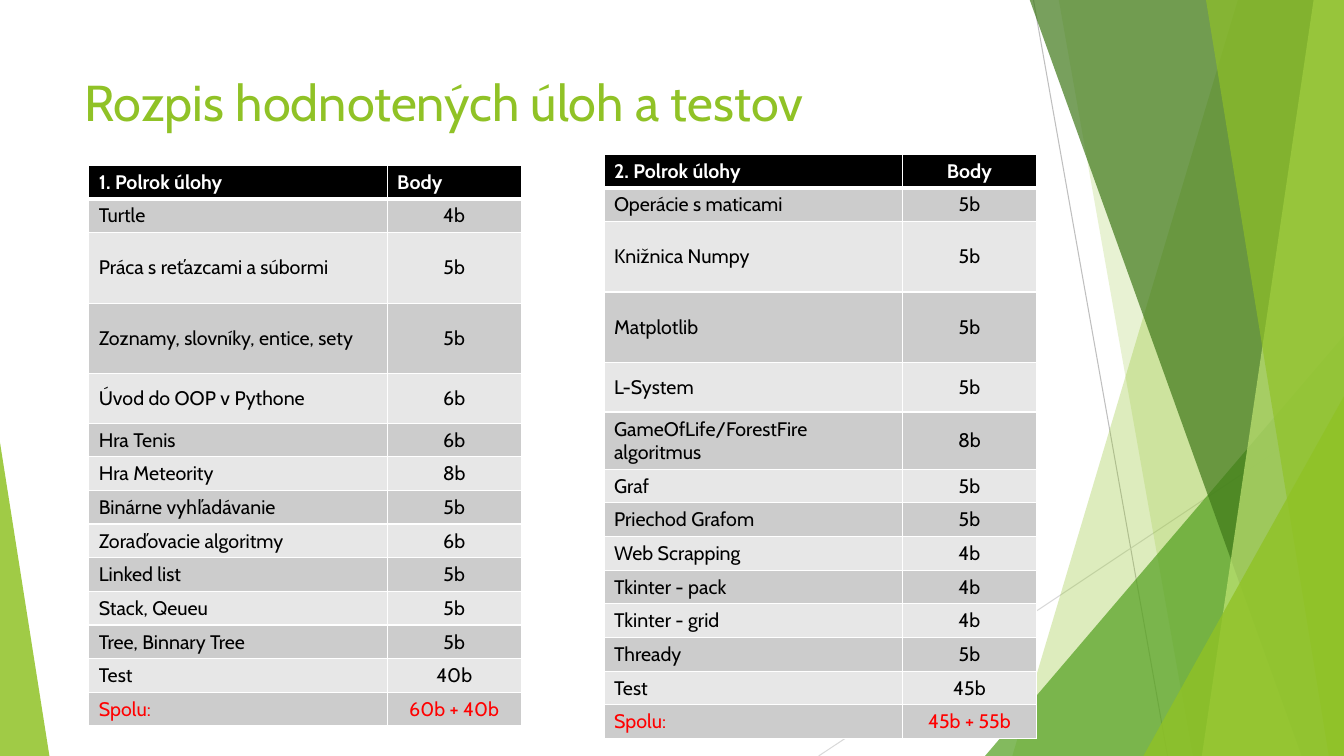
from lxml.etree import SubElement
from pptx import Presentation
from pptx.dml.color import RGBColor
from pptx.enum.shapes import MSO_CONNECTOR, MSO_SHAPE
from pptx.enum.text import MSO_ANCHOR, PP_ALIGN
from pptx.oxml.ns import qn
from pptx.util import Inches, Pt

# Content
TITLE = "Rozpis hodnotených úloh a testov"
TERM1 = [
    ("1. Polrok úlohy", "Body"),
    ("Turtle", "4b"),
    ("Práca s reťazcami a súbormi", "5b"),
    ("Zoznamy, slovníky, entice, sety", "5b"),
    ("Úvod do OOP v Pythone", "6b"),
    ("Hra Tenis", "6b"),
    ("Hra Meteority", "8b"),
    ("Binárne vyhľadávanie", "5b"),
    ("Zoraďovacie algoritmy", "6b"),
    ("Linked list", "5b"),
    ("Stack, Qeueu", "5b"),
    ("Tree, Binnary Tree", "5b"),
    ("Test", "40b"),
    ("Spolu:", "60b + 40b"),
]
TERM2 = [
    ("2. Polrok úlohy", "Body"),
    ("Operácie s maticami", "5b"),
    ("Knižnica Numpy", "5b"),
    ("Matplotlib", "5b"),
    ("L-System", "5b"),
    ("GameOfLife/ForestFire algoritmus", "8b"),
    ("Graf", "5b"),
    ("Priechod Grafom", "5b"),
    ("Web Scrapping", "4b"),
    ("Tkinter - pack", "4b"),
    ("Tkinter - grid", "4b"),
    ("Thready", "5b"),
    ("Test", "45b"),
    ("Spolu:", "45b + 55b"),
]
# Left, top, rows, alignment of the points heading
TABLES = [
    (0.88, 1.64, TERM1, PP_ALIGN.LEFT),
    (5.99, 1.53, TERM2, PP_ALIGN.CENTER),
]
COLS = (2.96, 1.33)
ROWS = [0.27, 0.28, 0.7, 0.7, 0.49] + [0.28] * 9

# Colours
FONT = "Cabin"
WHITE = RGBColor(0xFF, 0xFF, 0xFF)
BLACK = RGBColor(0, 0, 0)
RED = RGBColor(0xFF, 0, 0)
BANDS = (RGBColor(0xE7, 0xE7, 0xE7), RGBColor(0xCC, 0xCC, 0xCC))
LIME = RGBColor(0x90, 0xC2, 0x26)
GREEN = RGBColor(0x54, 0xA0, 0x21)
DARK = RGBColor(0x3F, 0x78, 0x19)
PALE = RGBColor(0xC0, 0xE4, 0x74)
GREY = RGBColor(0xBF, 0xBF, 0xBF)
SILVER = RGBColor(0xD9, 0xD9, 0xD9)

# Decoration, back to front
WIDE, HIGH, TOP = 13.33, 7.5, -0.01
LINES = [(10.25, 0, 11.58, HIGH, GREY), (WIDE, 4.03, 8.12, HIGH, SILVER)]
# Bands to the right edge: top x, bottom x. Triangles: left, top, width, apex
SHARDS = [
    ("band", (12.28, 10.04), LIME, 30),
    ("band", (10.5, 11.83), LIME, 20),
    ("tri", (9.77, 3.33, 3.56, 1), GREEN, 72),
    ("band", (10.21, 12.91), DARK, 70),
    ("band", (13.03, 11.92), PALE, 70),
    ("band", (11.96, 13.18), LIME, 65),
    ("tri", (11.34, 3.93, 1.99, 1), LIME, 80),
    ("tri", (0, 4.39, 0.49, 0), LIME, 85),
]

prs = Presentation()
prs.slide_width, prs.slide_height = Inches(WIDE), Inches(HIGH)
slide = prs.slides.add_slide(prs.slide_layouts[6])
shapes = slide.shapes


def style(para, color, size, bold=False):
    for run in para.runs:
        font = run.font
        font.name, font.size, font.bold = FONT, Pt(size), bold
        font.color.rgb = color


def border(cell, widths):
    props = cell._tc.get_or_add_tcPr()
    for side, width in widths.items():
        line = SubElement(props, qn("a:ln" + side), w=str(Pt(width)))
        fill = SubElement(line, qn("a:solidFill"))
        SubElement(fill, qn("a:srgbClr"), val=str(WHITE))


def draw_line(x1, y1, x2, y2, color):
    line = shapes.add_connector(
        MSO_CONNECTOR.STRAIGHT, Inches(x1), Inches(y1), Inches(x2), Inches(y2))
    line.line.color.rgb = color
    line.line.width = Pt(0.75)
    SubElement(line.element.spPr, qn("a:effectLst"))


def draw_shard(kind, place, color, alpha):
    if kind == "band":
        top, low = place
        pen = shapes.build_freeform(Inches(top), Inches(TOP))
        ends = [(WIDE, TOP), (WIDE, HIGH), (low, HIGH)]
        pen.add_line_segments([(Inches(x), Inches(y)) for x, y in ends])
        shard = pen.convert_to_shape()
    else:
        left, top, width, apex = place
        shard = shapes.add_shape(
            MSO_SHAPE.ISOSCELES_TRIANGLE, Inches(left), Inches(top),
            Inches(width), Inches(HIGH - top))
        shard.adjustments[0] = apex
    shard.shadow.inherit = False
    shard.line.fill.background()
    shard.fill.solid()
    shard.fill.fore_color.rgb = color
    tint = shard.element.spPr.find(".//" + qn("a:srgbClr"))
    SubElement(tint, qn("a:alpha"), val=str(alpha * 1000))


def draw_table(left, top, rows, head):
    table = shapes.add_table(
        len(rows), len(COLS), Inches(left), Inches(top),
        Inches(sum(COLS)), Inches(sum(ROWS))).table
    for col, width in zip(table.columns, COLS):
        col.width = Inches(width)
    for r, (row, height) in enumerate(zip(rows, ROWS)):
        table.rows[r].height = Inches(height)
        ink = WHITE if r == 0 else RED if r == len(rows) - 1 else BLACK
        edges = {"L": 1, "R": 1, "T": 3 if r == 1 else 1, "B": 1 if r else 3}
        for c, text in enumerate(row):
            cell = table.cell(r, c)
            border(cell, edges)
            cell.fill.solid()
            cell.fill.fore_color.rgb = BANDS[r % 2] if r else BLACK
            cell.vertical_anchor = MSO_ANCHOR.MIDDLE
            para = cell.text_frame.paragraphs[0]
            para.text = text
            if c:
                para.alignment = PP_ALIGN.CENTER if r else head
            style(para, ink, 14, r == 0)


# Background
for line in LINES:
    draw_line(*line)
for shard in SHARDS:
    draw_shard(*shard)

# Title
box = shapes.add_textbox(Inches(0.74), Inches(0.66), Inches(9.4), Inches(1.44))
frame = box.text_frame
frame.word_wrap = True
frame.text = TITLE
style(frame.paragraphs[0], LIME, 36)

# Tables
for table in TABLES:
    draw_table(*table)

prs.save("out.pptx")
